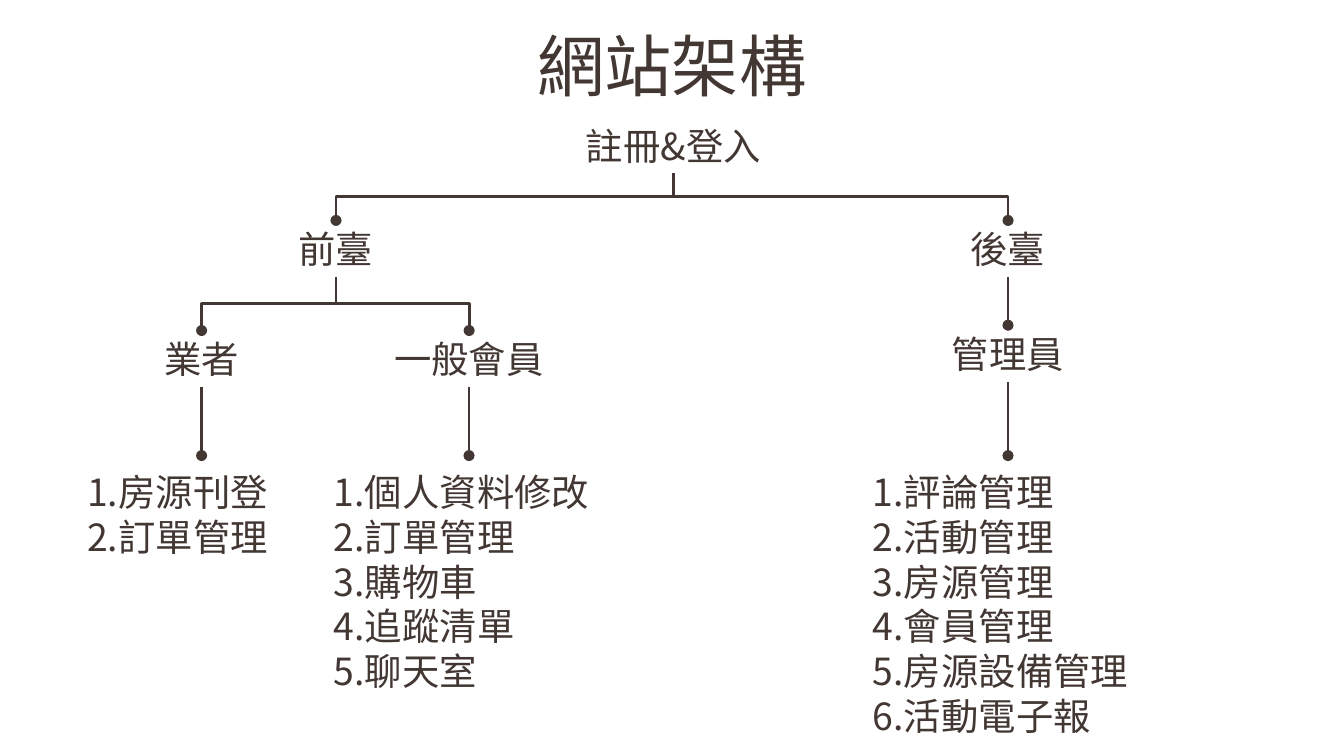
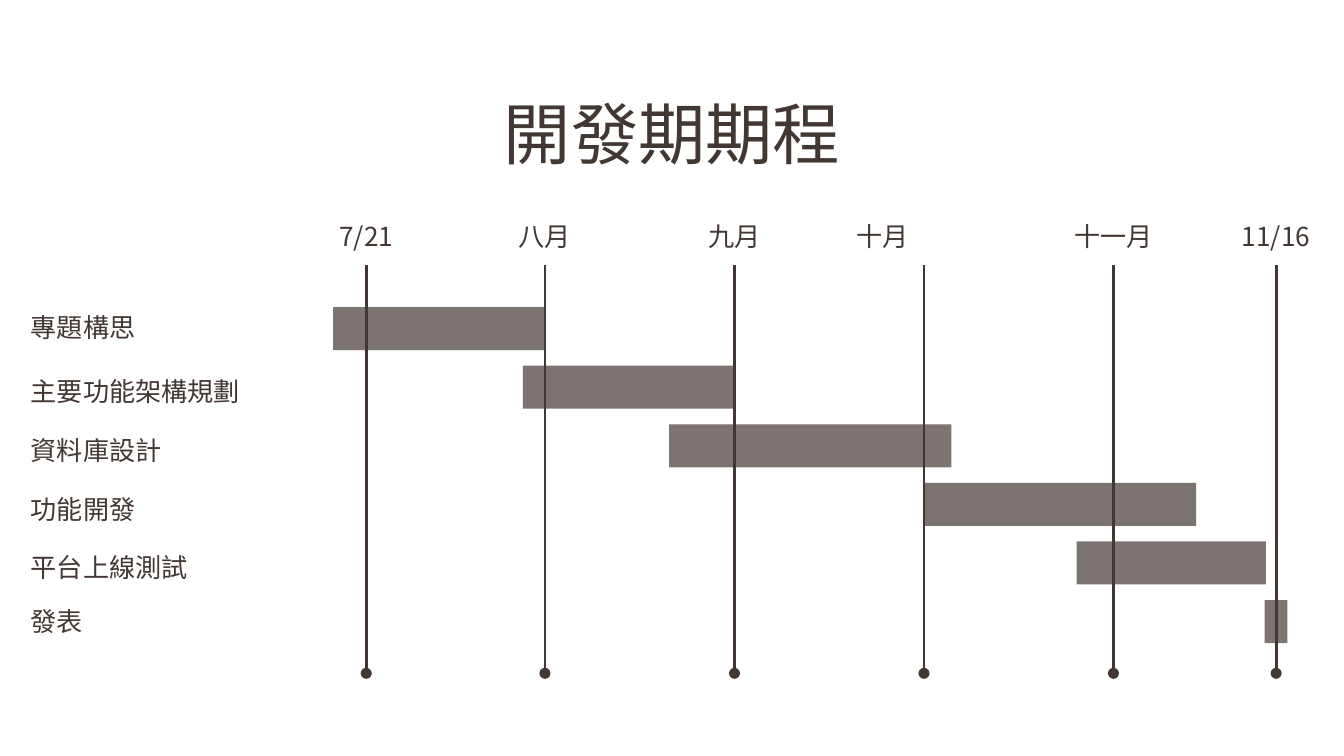
from collections import namedtuple
from itertools import pairwise
from lxml.etree import SubElement as Sub
from pptx import Presentation
from pptx.dml.color import RGBColor
from pptx.enum.shapes import MSO_CONNECTOR as Link, MSO_SHAPE as Form
from pptx.enum.text import MSO_ANCHOR as Anchor, PP_ALIGN as Align
from pptx.oxml.ns import qn
from pptx.util import Inches, Pt

INK = {"text": "423732", "back": "FFFFFF"}
FONT = "Noto Sans CJK SC"
UNIT = Inches(0.1)
WIDE, HIGH = 100, 56.25
BOTTOM, TOP = 2, 0
Box = namedtuple("Box", "x y w h")


def ink(name):
    return RGBColor.from_string(INK[name])


def grid(box):
    return [round(part * UNIT) for part in box]


def within(area, x, y, w, h):
    return Box(area.x + x, area.y + y, w, h)


def write(slide, box, lines, size, align=Align.CENTER, anchor=Anchor.MIDDLE, space=None):
    shape = slide.shapes.add_textbox(*grid(box))
    frame = shape.text_frame
    frame.word_wrap = True
    frame.vertical_anchor = anchor
    frame.margin_left = frame.margin_right = UNIT
    frame.margin_top = frame.margin_bottom = UNIT
    frame.text = lines
    for para in frame.paragraphs:
        para.alignment = align
        if space:
            para.line_spacing = space
        if "\t" in para.text:
            stops = Sub(para._p.get_or_add_pPr(), qn("a:tabLst"))
            Sub(stops, qn("a:tab"), pos=str(Inches(1)), algn="l")
        for run in para.runs:
            run.font.name = FONT
            run.font.size = Pt(size)
            run.font.color.rgb = ink("text")
            Sub(run.font._element, qn("a:ea"), typeface=FONT)
    return shape


def title(slide, row, text, anchor, space=None):
    write(slide, Box(7.8, row, 84.4, 7.5), text, 36, anchor=anchor, space=space)


def style(line):
    line.line.color.rgb = ink("text")
    line.line.width = Pt(1.5)
    Sub(line.line._get_or_add_ln(), qn("a:tailEnd"), type="oval")
    Sub(line._element.spPr, qn("a:effectLst"))


def drop(slide, start, end=None, foot=0):
    x = start.left + start.width // 2
    y = start.top + start.height
    line = slide.shapes.add_connector(Link.STRAIGHT, x, y, x, round(foot * UNIT))
    line.begin_connect(start, BOTTOM)
    if end is not None:
        line.end_connect(end, TOP)
    style(line)


def bend(slide, start, end):
    x1, y1 = start.left + start.width // 2, start.top + start.height
    x2, y2 = end.left + end.width // 2, end.top
    line = slide.shapes.add_connector(Link.ELBOW, 0, 0, 1, 1)
    line.width, line.height = y2 - y1, abs(x2 - x1)
    line.left = (x1 + x2 - line.width) // 2
    line.top = (y1 + y2 - line.height) // 2
    frame = line._element.spPr.find(qn("a:xfrm"))
    if x2 < x1:
        frame.set("rot", "5400000")
    else:
        frame.set("rot", "16200000")
        frame.set("flipH", "1")
    style(line)


def tree(slide, area):
    def node(x, y, w, text):
        return write(slide, within(area, x, y, w, 4.2), text, 20)

    def items(x, w, names):
        lines = "\n".join(f"{n}.{name}" for n, name in enumerate(names, 1))
        box = within(area, x, 25.2, w, 19.9)
        return write(slide, box, lines, 20, Align.LEFT, Anchor.TOP)

    root = node(40.6, 0, 19, "註冊&登入")
    front = node(20.2, 7.7, 9.6, "前臺")
    back = node(70.2, 7.7, 9.6, "後臺")
    host = node(5.5, 15.9, 19, "業者")
    guest = node(25.4, 15.9, 19, "一般會員")
    admin = node(65.5, 15.5, 19, "管理員")
    jobs = (
        (host, items(5.5, 19, ("房源刊登", "訂單管理"))),
        (guest, items(23.85, 22.1, ("個人資料修改", "訂單管理", "購物車", "追蹤清單", "聊天室"))),
        (admin, items(63.95, 22.1, ("評論管理", "活動管理", "房源管理", "會員管理",
                                    "房源設備管理", "活動電子報"))),
    )
    for start, end in ((root, front), (root, back), (front, host), (front, guest)):
        bend(slide, start, end)
    for start, end in ((back, admin), *jobs):
        drop(slide, start, end)


def months(slide, area):
    names = ("7/21", "八月", "九月", "十月\t", "十一月", "11/16")
    edges = (21, *(33.5 + 14.1 * n for n in range(5)), WIDE)
    for name, (left, right) in zip(names, pairwise(edges)):
        box = within(area, left, 0, right - left, 4.25)
        head = write(slide, box, name, 14, anchor=Anchor.BOTTOM)
        drop(slide, head, foot=area.y + area.h)


def tasks(slide, area):
    step = 4.36
    rows = (
        ("專題構思", 24.8, 15.7),
        ("主要功能架構規劃", 38.9, 15.7),
        ("資料庫設計", 49.8, 21),
        ("功能開發", 68.8, 20.2),
        ("平台上線測試", 80.1, 14.1),
        ("發表", 94.1, 1.7),
    )
    last = len(rows) - 1
    for n, (name, left, width) in enumerate(rows):
        y = n * step
        tall = 4.25 if n == 0 else 4.4 if n == last else 4.7
        anchor = Anchor.BOTTOM if n == 0 else Anchor.TOP
        space = 1.15 if 0 < n < last else None
        write(slide, within(area, 1.3, y - 0.15, 18.1, tall), name, 14,
              Align.LEFT, anchor, space)
        bar = slide.shapes.add_shape(
            Form.RECTANGLE, *grid(within(area, left, y + 0.45, width, 3.2)))
        bar.shadow.inherit = False
        bar.line.fill.background()
        bar.fill.solid()
        bar.fill.fore_color.rgb = ink("text")
        tint = bar._element.spPr.find(qn("a:solidFill"))[0]
        Sub(tint, qn("a:alpha"), val="69000")


def page(deck):
    slide = deck.slides.add_slide(deck.slide_layouts[6])
    slide.background.fill.solid()
    slide.background.fill.fore_color.rgb = ink("back")
    return slide


def main():
    deck = Presentation()
    deck.slide_width, deck.slide_height = grid((WIDE, HIGH))
    site = page(deck)
    title(site, 1.7, "網站架構", Anchor.MIDDLE, 0.75)
    tree(site, Box(0, 8.7, WIDE, 45.1))
    plan = page(deck)
    title(plan, 5.9, "開發期期程", Anchor.TOP)
    months(plan, Box(0, 15.5, WIDE, 34.6))
    tasks(plan, Box(0, 22.4, WIDE, 26))
    deck.save("out.pptx")


if __name__ == "__main__":
    main()
